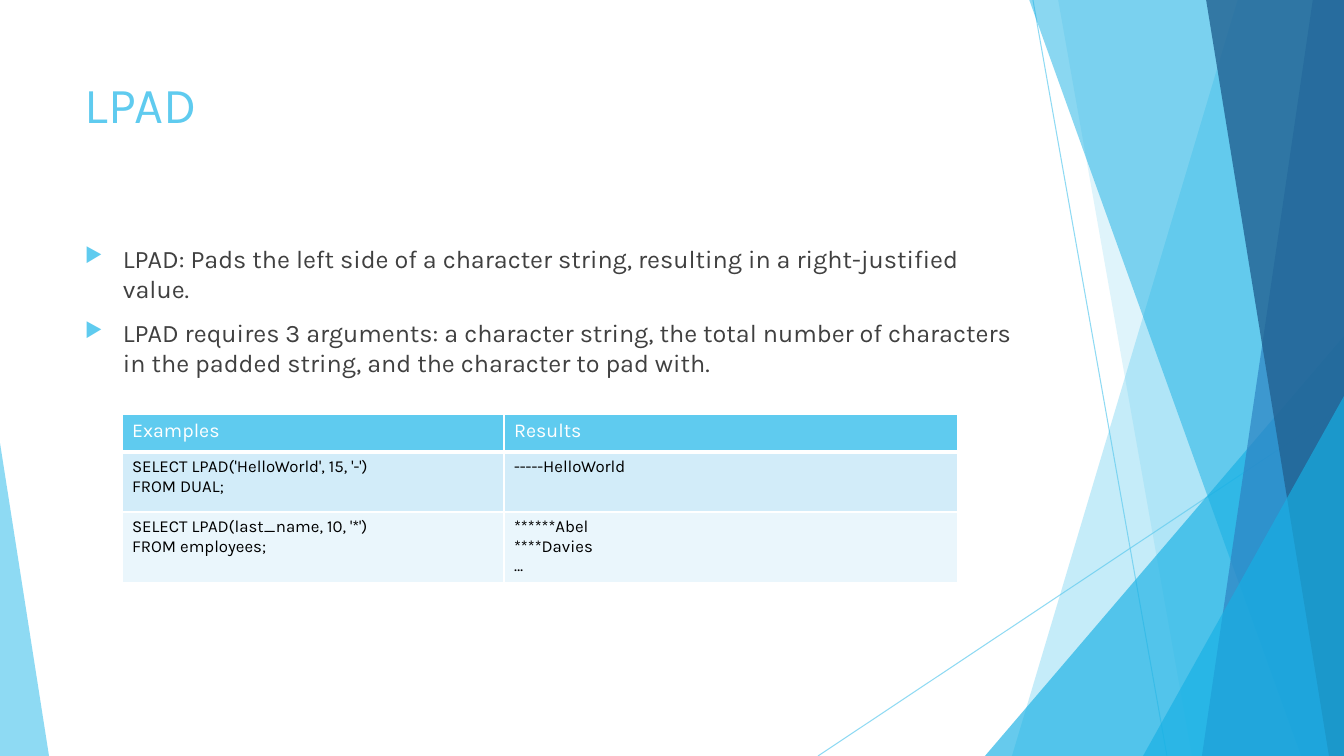
import pptx
import pptx.dml.color
import pptx.enum.shapes
import pptx.enum.text
import pptx.oxml
import pptx.oxml.ns
import pptx.util
from lxml import etree

PX = 12192000 / 1344
FONT = "Karla"
SKY, AZURE, BLUE, NAVY = "5FCBEF", "17B0E4", "2E83C3", "226292"
WHITE, GREY, BLACK = "FFFFFF", "404040", "000000"
NAMESPACE = pptx.oxml.ns.nsdecls("a")


def px(length):
    return pptx.util.Emu(round(length * PX))


def paint(color_owner, color, opacity=100):
    """Make a fill solid, or colour a font, with optional opacity in percent."""
    if hasattr(color_owner, "solid"):
        color_owner.solid()
        target = color_owner.fore_color
    else:
        target = color_owner.color
    target.rgb = pptx.dml.color.RGBColor.from_string(color)
    return opacity


presentation = pptx.Presentation()
presentation.slide_width = px(1344)
presentation.slide_height = px(756)
slide = presentation.slides.add_slide(presentation.slide_layouts[6])
shapes = slide.shapes
translucent = []

# Thin crossing lines
for start_x, start_y, end_x, end_y in [(1033, 0, 1167, 756), (1344, 406, 818, 756)]:
    line = shapes.add_connector(
        pptx.enum.shapes.MSO_CONNECTOR.STRAIGHT,
        px(start_x), px(start_y), px(end_x), px(end_y))
    line.line.width = pptx.util.Pt(0.75)
    translucent.append((line, paint(line.line.fill, SKY, 70)))
    etree.SubElement(line._element.spPr, pptx.oxml.ns.qn("a:effectLst"))

# Facets, back to front: bands (top x, bottom x) reach the right edge,
# triangles (left, top, width, height, apex) stand on the bottom edge
facets = [
    ((1238, 1012), SKY, 36),
    ((1058, 1192), SKY, 20),
    ((985, 336, 359, 420, 1), AZURE, 66),
    ((1029, 1301), AZURE, 50),
    ((1313, 1202), BLUE, 70),
    ((1206, 1329), NAVY, 80),
    ((1143, 396, 201, 360, 1), AZURE, 66),
    ((0, 443, 49, 313, 0), SKY, 70),
]
for geometry, color, opacity in facets:
    if len(geometry) == 2:
        top_x, bottom_x = geometry
        builder = shapes.build_freeform(top_x, -1, scale=PX)
        builder.add_line_segments([(1344, -1), (1344, 756), (bottom_x, 756)])
        facet = builder.convert_to_shape()
    else:
        facet = shapes.add_shape(
            pptx.enum.shapes.MSO_SHAPE.ISOSCELES_TRIANGLE,
            *[px(length) for length in geometry[:4]])
        facet.adjustments[0] = geometry[4]
    facet.shadow.inherit = False
    facet.line.fill.background()
    translucent.append((facet, paint(facet.fill, color, opacity)))

for shape, opacity in translucent:
    color_element = next(shape._element.spPr.iter(pptx.oxml.ns.qn("a:srgbClr")))
    alpha = etree.SubElement(color_element, pptx.oxml.ns.qn("a:alpha"))
    alpha.set("val", str(opacity * 1000))

# Title and bulleted text
text_blocks = [
    (68, 145, 36, SKY, ["LPAD"]),
    (238, 427, 18, GREY, [
        "LPAD: Pads the left side of a character string, resulting in a right-justified value.",
        "LPAD requires 3 arguments: a character string, the total number of characters "
        "in the padded string, and the character to pad with.",
    ]),
]
for top, height, size, color, lines in text_blocks:
    text_frame = shapes.add_textbox(px(75), px(top), px(947), px(height)).text_frame
    text_frame.word_wrap = True
    text_frame.vertical_anchor = pptx.enum.text.MSO_ANCHOR.TOP
    text_frame.text = "\n".join(lines)
    for paragraph in text_frame.paragraphs:
        paragraph.font.name = FONT
        paragraph.font.size = pptx.util.Pt(size)
        paint(paragraph.font, color)

for paragraph in text_frame.paragraphs:
    paragraph.space_before = pptx.util.Pt(10)
    properties = paragraph._p.get_or_add_pPr()
    properties.set("marL", str(px(38)))
    properties.set("indent", str(px(-38)))
    bullet = [
        f'<a:buClr {NAMESPACE}><a:srgbClr val="{SKY}"/></a:buClr>',
        f'<a:buSzPct {NAMESPACE} val="80000"/>',
        f'<a:buChar {NAMESPACE} char="▶"/>',
    ]
    position = list(properties).index(properties.find(pptx.oxml.ns.qn("a:spcBef"))) + 1
    for offset, markup in enumerate(bullet):
        properties.insert(position + offset, pptx.oxml.parse_xml(markup))

# Table of examples
rows = [
    ("Examples", "Results"),
    ("SELECT LPAD('HelloWorld', 15, '-')\nFROM DUAL;", "-----HelloWorld"),
    ("SELECT LPAD(last_name, 10, '*')\nFROM employees;", "******Abel\n****Davies\n…"),
]
row_styles = [(38, 14, WHITE, SKY), (60, 12, BLACK, "D2ECF9"), (69, 12, BLACK, "EAF6FC")]
table = shapes.add_table(3, 2, px(122), px(414), px(836), px(167)).table
for column, width in zip(table.columns, (382, 454)):
    column.width = px(width)
for row_index, (texts, style) in enumerate(zip(rows, row_styles)):
    height, size, color, fill = style
    table.rows[row_index].height = px(height)
    for column_index, text in enumerate(texts):
        cell = table.cell(row_index, column_index)
        cell.text = text
        for paragraph in cell.text_frame.paragraphs:
            paragraph.font.name = FONT
            paragraph.font.size = pptx.util.Pt(size)
            paragraph.font.bold = False
            paint(paragraph.font, color)
        cell_properties = cell._tc.get_or_add_tcPr()
        for side in "LRTB":
            points = 3 if row_index == 0 and side == "B" else 1
            cell_properties.append(pptx.oxml.parse_xml(
                f'<a:ln{side} {NAMESPACE} w="{pptx.util.Pt(points)}"><a:solidFill>'
                f'<a:srgbClr val="{WHITE}"/></a:solidFill></a:ln{side}>'))
        paint(cell.fill, fill)

presentation.save("out.pptx")
